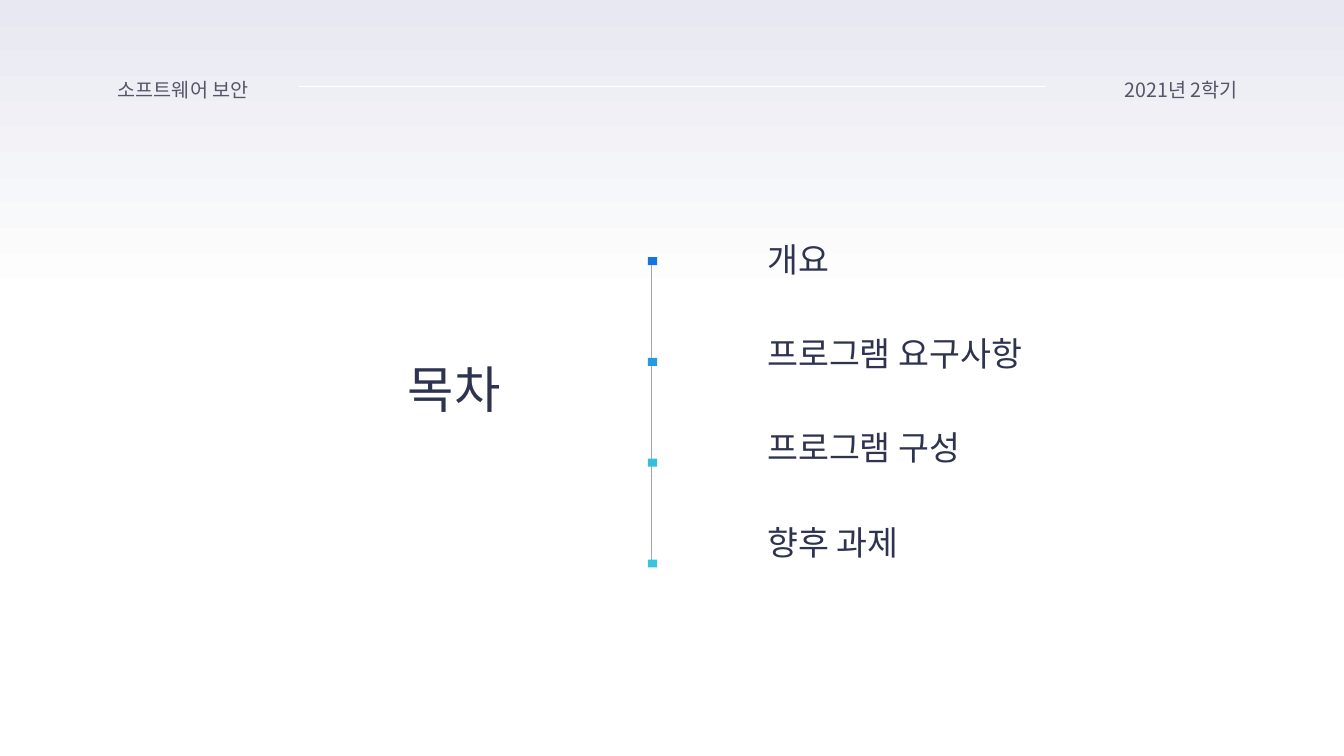
from pptx import Presentation
from pptx import util as u
from pptx.dml.color import RGBColor
from pptx.enum import shapes, text
from pptx.oxml import ns, xmlchemy

FONT = "Noto Sans CJK KR"
COLORS = {
    "ink": "2E3350",
    "header": "545668",
    "band_top": "E7E8F1",
    "white": "FFFFFF",
    "timeline": "A6A6A6",
}
MARKERS = ["1475DF", "249BDE", "33BEDD", "36C5DD"]
TOPICS = ["개요", "프로그램 요구사항", "프로그램 구성", "향후 과제"]


def rgb(value):
    return RGBColor.from_string(value)


def place(shape, left, top, width, height):
    shape.left, shape.top = u.Cm(left), u.Cm(top)
    shape.width, shape.height = u.Cm(width), u.Cm(height)


def write(para, words, size=24, color="ink", align=text.PP_ALIGN.LEFT,
          before=0, spacing=1.0):
    """Fill a paragraph with one formatted run."""
    para.alignment = align
    para.space_before = u.Pt(before)
    para.line_spacing = spacing
    span = para.add_run()
    span.text = words
    span.font.size = u.Pt(size)
    span.font.name = FONT
    span.font.color.rgb = rgb(COLORS[color])
    east_asian = xmlchemy.OxmlElement("a:ea")
    east_asian.set("typeface", FONT)
    span.font._element.find(ns.qn("a:latin")).addnext(east_asian)


def set_frame(box, anchor):
    frame = box.text_frame
    frame.word_wrap = True
    frame.auto_size = text.MSO_AUTO_SIZE.NONE
    frame.vertical_anchor = anchor
    return frame


def add_rect(page, left, top, width, height):
    rect = page.shapes.add_shape(
        shapes.MSO_SHAPE.RECTANGLE,
        u.Cm(left), u.Cm(top), u.Cm(width), u.Cm(height))
    rect.shadow.inherit = False
    rect.line.fill.background()
    return rect


def add_band(page):
    band = add_rect(page, 0, 0, 33.87, 7.65)
    band.fill.gradient()
    band.fill.gradient_angle = 270
    for stop, color in zip(band.fill.gradient_stops, ("band_top", "white")):
        stop.color.rgb = rgb(COLORS[color])
    # Send the band behind the placeholders
    band.element.getparent().insert(2, band.element)


def add_line(page, x1, y1, x2, y2, color):
    line = page.shapes.add_connector(
        shapes.MSO_CONNECTOR.STRAIGHT,
        u.Cm(x1), u.Cm(y1), u.Cm(x2), u.Cm(y2))
    line.line.color.rgb = rgb(COLORS[color])
    line.line.width = u.Pt(0.5)
    line.element.spPr.append(xmlchemy.OxmlElement("a:effectLst"))


def add_header(page, words, left, width, align):
    box = page.shapes.add_textbox(
        u.Cm(left), u.Cm(1.83), u.Cm(width), u.Cm(0.86))
    frame = set_frame(box, text.MSO_ANCHOR.TOP)
    write(frame.paragraphs[0], words, size=14, color="header", align=align)


def fill_title(page):
    title = page.shapes.title
    place(title, 9.35, 9.07, 4.19, 1.63)
    frame = set_frame(title, text.MSO_ANCHOR.BOTTOM)
    write(frame.paragraphs[0], "목차", size=36,
          align=text.PP_ALIGN.CENTER, spacing=0.9)


def fill_topics(page):
    body = page.placeholders[1]
    place(body, 19.08, 5.89, 7.92, 9.27)
    frame = set_frame(body, text.MSO_ANCHOR.TOP)
    for index, topic in enumerate(TOPICS):
        para = frame.add_paragraph() if index else frame.paragraphs[0]
        props = para._p.get_or_add_pPr()
        props.set("marL", "0")
        props.set("indent", "0")
        props.append(xmlchemy.OxmlElement("a:buNone"))
        write(para, topic, before=38.5 if index else 0)


def add_timeline(page):
    add_line(page, 16.41, 6.58, 16.41, 14.3, "timeline")
    for index, color in enumerate(MARKERS):
        marker = add_rect(page, 16.33, 6.48 + index * 2.54, 0.23, 0.2)
        marker.fill.solid()
        marker.fill.fore_color.rgb = rgb(color)


def main():
    deck = Presentation()
    deck.slide_width, deck.slide_height = u.Cm(33.87), u.Cm(19.05)
    page = deck.slides.add_slide(deck.slide_layouts[1])

    # Background band
    add_band(page)

    # Contents title, timeline and topics
    fill_title(page)
    add_timeline(page)
    fill_topics(page)

    # Header row
    add_header(page, "소프트웨어 보안", 2.72, 3.94, text.PP_ALIGN.LEFT)
    add_header(page, "2021년 2학기", 27.91, 3.53, text.PP_ALIGN.RIGHT)
    add_line(page, 7.54, 2.18, 26.37, 2.18, "white")

    deck.save("out.pptx")


if __name__ == "__main__":
    main()
